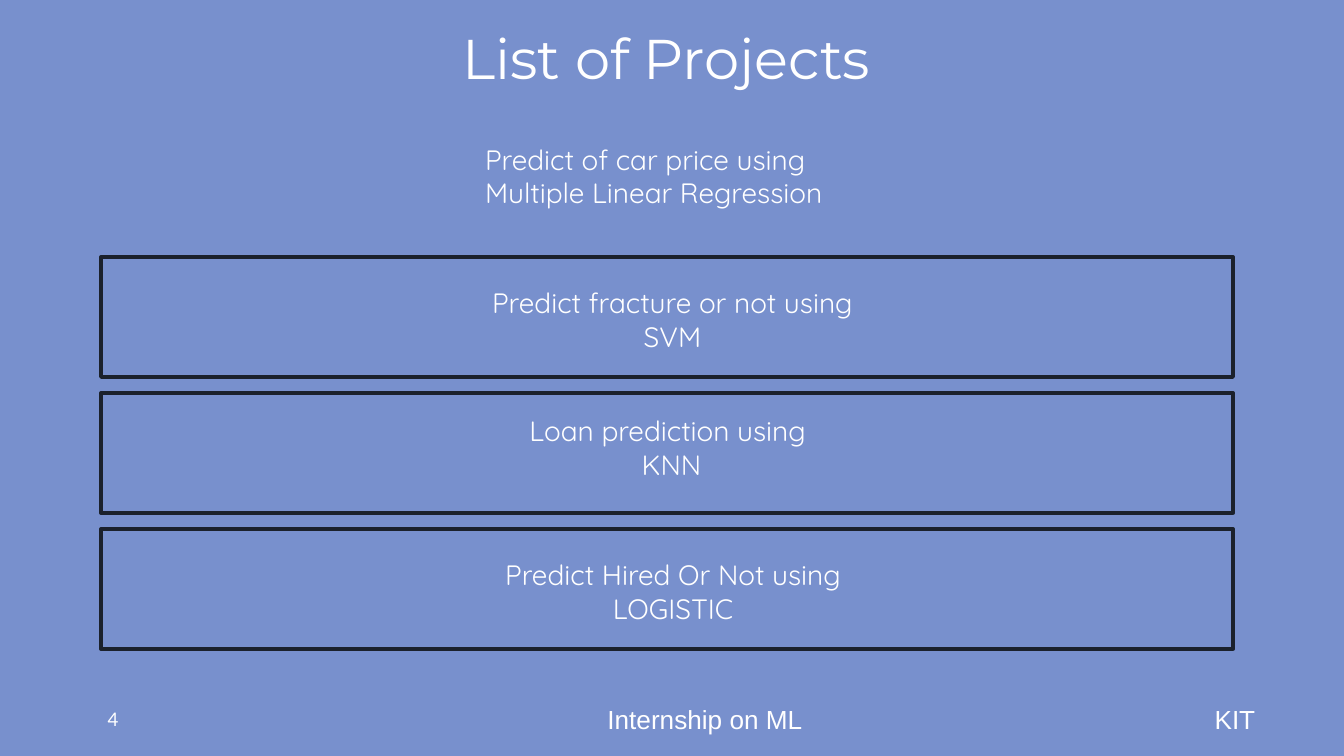
from pptx import Presentation
from pptx.dml.color import RGBColor
from pptx.enum.shapes import MSO_SHAPE
from pptx.enum.text import MSO_ANCHOR as Anchor, PP_ALIGN as Align
from pptx.util import Emu, Pt

EMU_PER_PX = 914400 / 134.4

BLUE = RGBColor(0x78, 0x90, 0xCD)
INK = RGBColor(0x1B, 0x21, 0x2C)
WHITE = RGBColor(0xFF, 0xFF, 0xFF)

CARD_LEFT, CARD_TOP, CARD_WIDTH, CARD_HEIGHT = 101, 257, 1132, 120
CARD_PITCH = 136

# Label paragraphs, then left, offset from the card's top, and width
PROJECTS = [
    (["Predict fracture or not using SVM"], 461, 24, 423),
    (["Loan prediction using ", "KNN"], 419, 16, 505),
    (["Predict Hired Or Not using LOGISTIC"], 468, 24, 410),
]

# Text, left, width, font, size
FOOTERS = [
    ("4", 93, 40, "Lato", 10),
    ("Internship on ML", 591, 228, "Arial", 14),
    ("KIT", 1172, 126, "Arial", 14),
]


def px(length):
    return Emu(round(length * EMU_PER_PX))


def add_text(slide, lines, box, font, size, align=Align.CENTER,
             anchor=Anchor.TOP, inset_x=9, inset_y=5):
    """Add a text box with one white paragraph per line."""
    frame = slide.shapes.add_textbox(*map(px, box)).text_frame
    frame.word_wrap = True
    frame.vertical_anchor = anchor
    frame.margin_left = frame.margin_right = px(inset_x)
    frame.margin_top = frame.margin_bottom = px(inset_y)
    for index, line in enumerate(lines):
        paragraph = frame.add_paragraph() if index else frame.paragraphs[0]
        paragraph.alignment = align
        run = paragraph.add_run()
        run.text = line
        run.font.name = font
        run.font.size = Pt(size)
        run.font.color.rgb = WHITE


def add_card(slide, top):
    card = slide.shapes.add_shape(
        MSO_SHAPE.RECTANGLE,
        *map(px, (CARD_LEFT, top, CARD_WIDTH, CARD_HEIGHT)))
    card.shadow.inherit = False
    card.fill.solid()
    card.fill.fore_color.rgb = BLUE
    card.line.color.rgb = INK
    card.line.width = Pt(2)


def add_project(slide, top, lines, left, offset, width):
    add_card(slide, top)
    add_text(slide, lines, (left, top + offset, width, 78), "Quicksand", 15)


def add_footer(slide, text, left, width, font, size):
    add_text(slide, [text], (left, 706, width, 27), font, size,
             anchor=Anchor.MIDDLE, inset_x=0)


def main():
    deck = Presentation()
    deck.slide_width, deck.slide_height = px(1344), px(756)
    slide = deck.slides.add_slide(deck.slide_layouts[6])
    slide.background.fill.solid()
    slide.background.fill.fore_color.rgb = BLUE

    add_text(slide, ["List of Projects"], (120, 19, 1093, 67), "Montserrat", 30)
    add_text(slide, ["Predict of car price using", "Multiple Linear Regression"],
             (476, 142, 638, 101), "Quicksand", 15, align=Align.LEFT, inset_y=0)
    for footer in FOOTERS:
        add_footer(slide, *footer)
    for index, project in enumerate(PROJECTS):
        add_project(slide, CARD_TOP + index * CARD_PITCH, *project)

    deck.save("out.pptx")


if __name__ == "__main__":
    main()
